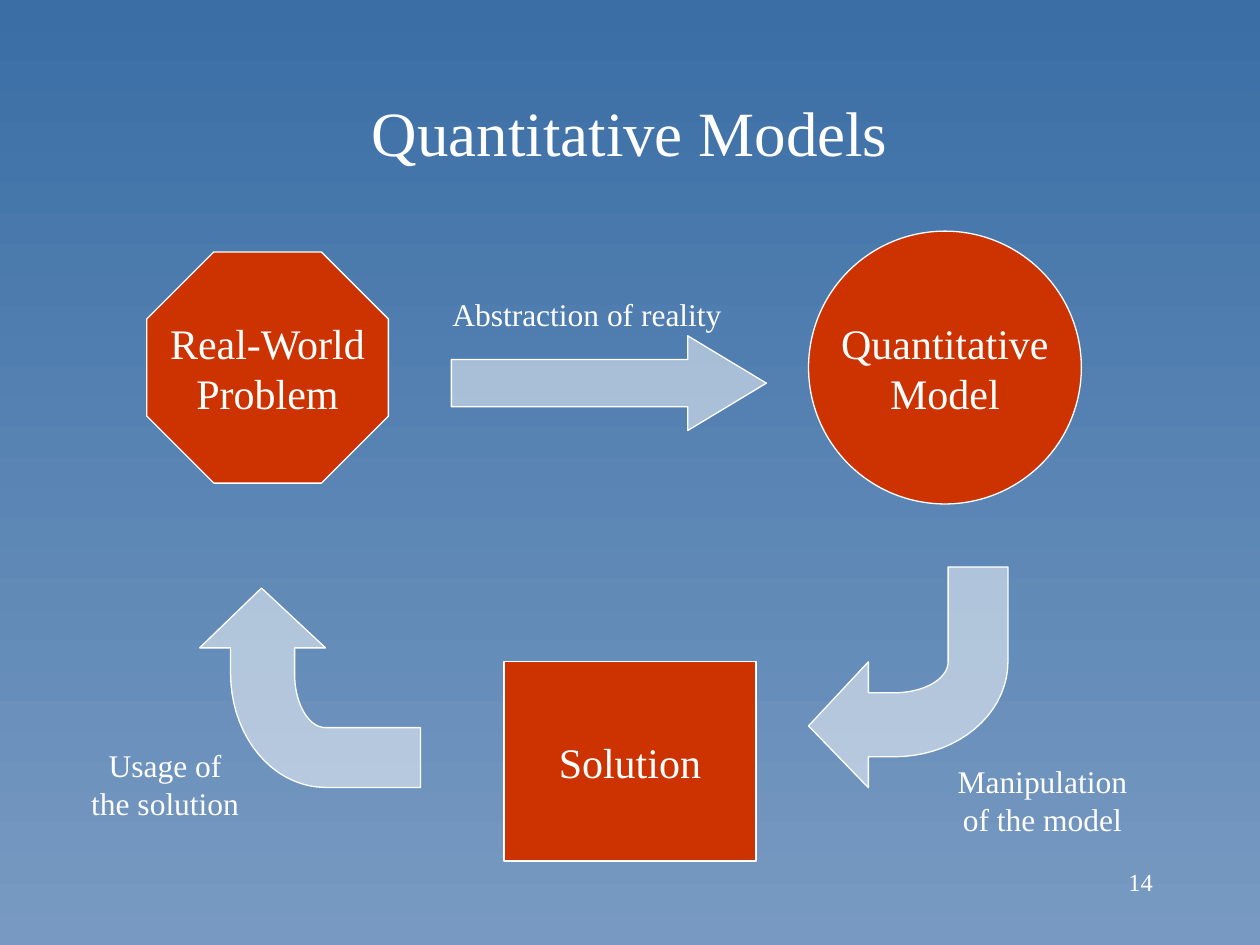
import math

import lxml.etree
import pptx
import pptx.dml.color
import pptx.enum.shapes
import pptx.enum.text
import pptx.oxml.ns
import pptx.util

Cm = pptx.util.Cm
Pt = pptx.util.Pt
RGB = pptx.dml.color.RGBColor
KIND = pptx.enum.shapes.MSO_SHAPE
ALIGN = pptx.enum.text.PP_ALIGN
MIDDLE = pptx.enum.text.MSO_ANCHOR.MIDDLE
TOP = pptx.enum.text.MSO_ANCHOR.TOP

WHITE = RGB(0xFF, 0xFF, 0xFF)
RED = RGB(0xCC, 0x33, 0x00)
SKY = RGB(0x3A, 0x6E, 0xA5)
HAZE = RGB(0x78, 0x9A, 0xC2)


def apply(target, values):
    for name, value in values.items():
        setattr(target, name, value)


def write(shape, lines, size, align=ALIGN.CENTER, anchor=TOP, wrap=False):
    frame = shape.text_frame
    apply(frame, {"word_wrap": wrap, "vertical_anchor": anchor})
    frame.text = "\n".join(lines)
    for para in frame.paragraphs:
        para.alignment = align
        apply(para.runs[0].font, {"name": "Times New Roman", "size": Pt(size)})
        para.runs[0].font.color.rgb = WHITE


def paint(shape, color, alpha=None):
    shape.shadow.inherit = False
    shape.fill.solid()
    shape.fill.fore_color.rgb = color
    if alpha is not None:
        tint = shape.fill._xPr.find(".//" + pptx.oxml.ns.qn("a:srgbClr"))
        lxml.etree.SubElement(tint, pptx.oxml.ns.qn("a:alpha"), val=str(alpha * 1000))
    shape.line.color.rgb = WHITE
    shape.line.width = Pt(0.75)


def label(shapes, box, lines, size=18, **style):
    write(shapes.add_textbox(*map(Cm, box)), lines, size, **style)


def node(shapes, box, kind, lines):
    shape = shapes.add_shape(kind, *map(Cm, box))
    if kind == KIND.OCTAGON:
        shape.adjustments[0] = 0.29
    paint(shape, RED)
    write(shape, lines, 24, anchor=MIDDLE)


def bend(shapes, box, turn):
    left, top, width, height = box
    mid_x, mid_y, head = 0.43, 0.43, 0.3
    outer, inner = (0.57, 0.43), (0.27, 0.14)

    def arc(radii, angles):
        return [(mid_x + radii[0] * math.cos(math.radians(a)),
                 mid_y + radii[1] * math.sin(math.radians(a))) for a in angles]

    points = [(0, 0.72), (head, 1), (head, mid_y + outer[1])]
    points += arc(outer, range(90, -1, -5))
    points += [(1, 0), (mid_x + inner[0], 0)]
    points += arc(inner, range(0, 91, 5))
    points += [(head, mid_y + inner[1]), (head, mid_y)]
    spots = [(Cm(left + x * width), Cm(top + y * height)) for x, y in points]
    path = shapes.build_freeform(*spots[0])
    path.add_line_segments(spots[1:], close=True)
    shape = path.convert_to_shape()
    shape.rotation = turn
    paint(shape, WHITE, 50)


def across(shapes, box):
    shape = shapes.add_shape(KIND.RIGHT_ARROW, *map(Cm, box))
    for index, value in enumerate((0.5, 0.83)):
        shape.adjustments[index] = value
    paint(shape, WHITE, 50)


def step(slide, box, note, lines, turn=None):
    shapes = slide.shapes.add_group_shape().shapes
    if turn is None:
        across(shapes, box)
    else:
        bend(shapes, box, turn)
    dx, dy, width, height = note
    label(shapes, (box[0] + dx, box[1] + dy, width, height), lines)


def sky(slide):
    fill = slide.background.fill
    fill.gradient()
    fill.gradient_angle = 270
    for stop, color in zip(fill.gradient_stops, (SKY, HAZE)):
        stop.color.rgb = color


def main():
    deck = pptx.Presentation()
    apply(deck, {"slide_width": Cm(25.4), "slide_height": Cm(19.05)})
    slide = deck.slides.add_slide(deck.slide_layouts[6])
    sky(slide)
    label(slide.shapes, (18.2, 17.36, 5.29, 1.27), ["14"], 14,
          align=ALIGN.RIGHT, wrap=True)
    label(slide.shapes, (6.35, 1.69, 12.7, 1.91), ["Quantitative Models"], 36,
          anchor=MIDDLE, wrap=True)
    for box, kind, lines in (
        ((10.16, 13.34, 5.08, 4.02), KIND.RECTANGLE, ["Solution"]),
        ((2.96, 5.08, 4.87, 4.66), KIND.OCTAGON, ["Real-World", "Problem"]),
        ((16.3, 4.66, 5.5, 5.5), KIND.OVAL, ["Quantitative", "Model"]),
    ):
        node(slide.shapes, box, kind, lines)
    step(slide, (9.1, 6.77, 6.35, 1.91), (-0.23, -0.95, 5.93, 1.02),
         ["Abstraction of reality"])
    step(slide, (16.3, 11.43, 4.02, 4.45), (2.75, 3.81, 3.93, 1.78),
         ["Manipulation", "of the model"], 0)
    step(slide, (4.24, 11.64, 4.02, 4.45), (-2.66, 3.28, 3.5, 1.78),
         ["Usage of", "the solution"], 90)
    deck.save("out.pptx")


main()
